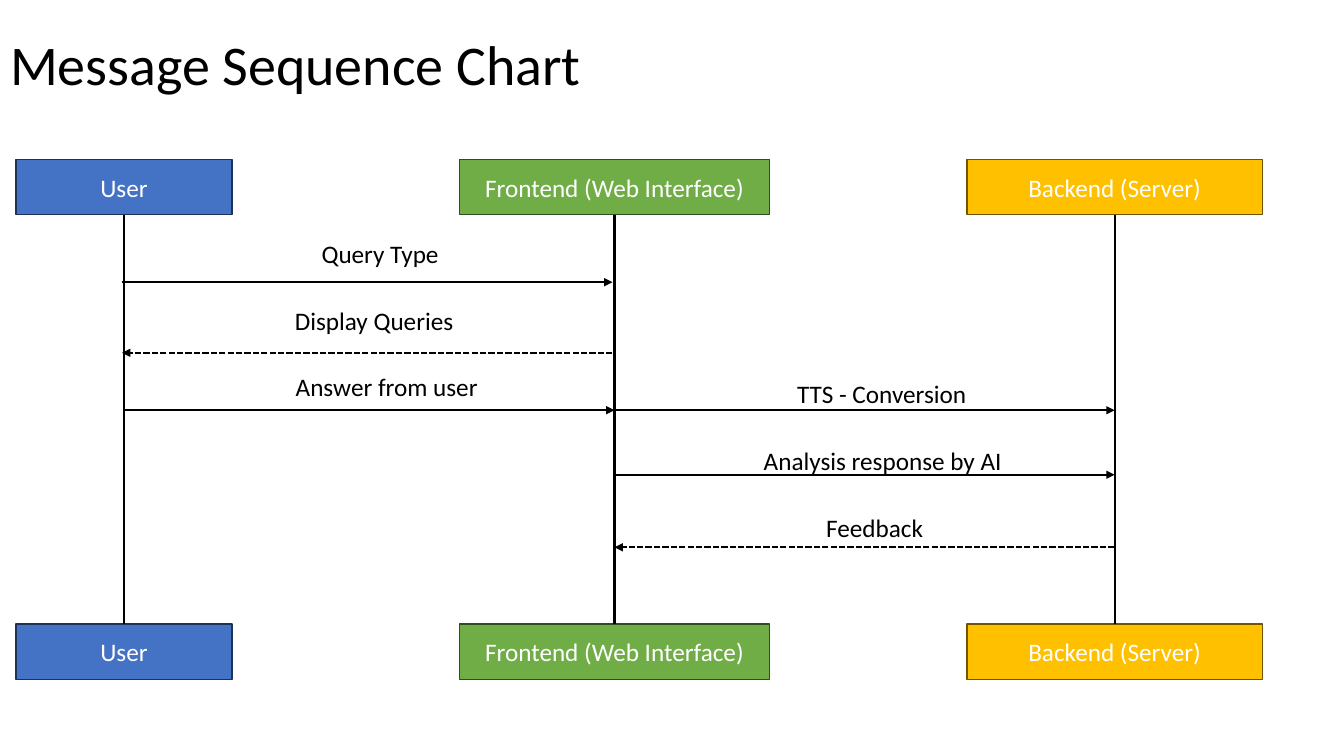
"""Build a message sequence chart slide."""
from lxml.etree import SubElement
from pptx import Presentation
from pptx.dml.color import RGBColor
from pptx.enum.dml import MSO_LINE
from pptx.enum.shapes import MSO_CONNECTOR, MSO_SHAPE
from pptx.enum.text import MSO_ANCHOR, MSO_AUTO_SIZE, PP_ALIGN
from pptx.oxml.ns import qn
from pptx.util import Inches, Pt

TITLE = "Message Sequence Chart"
FONT = "Calibri"
BLACK, WHITE = "000000", "FFFFFF"

# name, left, width, fill, outline
PARTICIPANTS = [
    ("User", 0.16, 2.14, "4472C4", "1E3256"),
    ("Frontend (Web Interface)", 4.56, 3.07, "70AD47", "314C1F"),
    ("Backend (Server)", 9.59, 2.93, "FFC000", "705400"),
]
USER, FRONTEND, BACKEND = range(3)

# label, label left, label top, label width, sender, receiver, arrow y, x shift
MESSAGES = [
    ("Query Type", 2.81, 2.32, 1.92, USER, FRONTEND, 2.8, -0.02),
    ("Display Queries", 2.75, 2.98, 1.92, FRONTEND, USER, 3.5, -0.02),
    ("Answer from user", 2.44, 3.63, 2.79, USER, FRONTEND, 4.07, 0),
    ("TTS - Conversion", 7.8, 3.7, 1.89, FRONTEND, BACKEND, 4.07, 0),
    ("Analysis response by AI", 7.46, 4.37, 2.59, FRONTEND, BACKEND, 4.71, 0),
    ("Feedback", 8.09, 5.03, 1.17, BACKEND, FRONTEND, 5.43, 0),
]
TOP_ROW, BOTTOM_ROW, BOX_HEIGHT, LABEL_HEIGHT = 1.58, 6.19, 0.55, 0.4


def rgb(value):
    return RGBColor.from_string(value)


def write(frame, text, size, color, align):
    para = frame.paragraphs[0]
    para.alignment = align
    span = para.add_run()
    span.text = text
    span.font.size = Pt(size)
    span.font.name = FONT
    span.font.color.rgb = rgb(color)
    return para


def add_title(page):
    title = page.shapes.title
    title.left, title.top = Inches(0), Inches(-0.06)
    title.width, title.height = Inches(11.5), Inches(1.45)
    frame = title.text_frame
    frame.auto_size = MSO_AUTO_SIZE.NONE
    frame.vertical_anchor = MSO_ANCHOR.MIDDLE
    write(frame, TITLE, 40, BLACK, PP_ALIGN.LEFT).line_spacing = 0.9


def add_participant(page, name, left, top, width, fill, outline):
    box = page.shapes.add_shape(MSO_SHAPE.RECTANGLE, Inches(left), Inches(top),
                                Inches(width), Inches(BOX_HEIGHT))
    box.shadow.inherit = False
    box.fill.solid()
    box.fill.fore_color.rgb = rgb(fill)
    box.line.color.rgb = rgb(outline)
    box.line.width = Pt(1)
    box.text_frame.vertical_anchor = MSO_ANCHOR.MIDDLE
    write(box.text_frame, name, 18, WHITE, PP_ALIGN.CENTER)


def add_line(page, start, end):
    line = page.shapes.add_connector(MSO_CONNECTOR.STRAIGHT,
                                     *map(Inches, start), *map(Inches, end))
    line.line.color.rgb = rgb(BLACK)
    line.line.width = Pt(1.5)
    SubElement(line._element.spPr, qn("a:effectLst"))
    return line


def add_arrow(page, start, end):
    arrow = add_line(page, start, end)
    if end[0] < start[0]:
        arrow.line.dash_style = MSO_LINE.SQUARE_DOT
    SubElement(arrow.line._get_or_add_ln(), qn("a:tailEnd"), type="triangle")


def add_label(page, text, left, top, width):
    label = page.shapes.add_textbox(Inches(left), Inches(top),
                                    Inches(width), Inches(LABEL_HEIGHT))
    label.text_frame.word_wrap = False
    write(label.text_frame, text, 18, BLACK, PP_ALIGN.CENTER)


def main():
    deck = Presentation()
    deck.slide_width, deck.slide_height = Inches(13.33), Inches(7.5)
    page = deck.slides.add_slide(deck.slide_layouts[5])
    add_title(page)

    lifelines = []
    for name, left, width, fill, outline in PARTICIPANTS:
        for top in (TOP_ROW, BOTTOM_ROW):
            add_participant(page, name, left, top, width, fill, outline)
        center = left + width / 2
        add_line(page, (center, TOP_ROW + BOX_HEIGHT), (center, BOTTOM_ROW))
        lifelines.append(center)

    for text, left, top, width, sender, receiver, y, shift in MESSAGES:
        add_label(page, text, left, top, width)
        add_arrow(page, (lifelines[sender] + shift, y),
                  (lifelines[receiver] + shift, y))

    deck.save("out.pptx")


if __name__ == "__main__":
    main()
